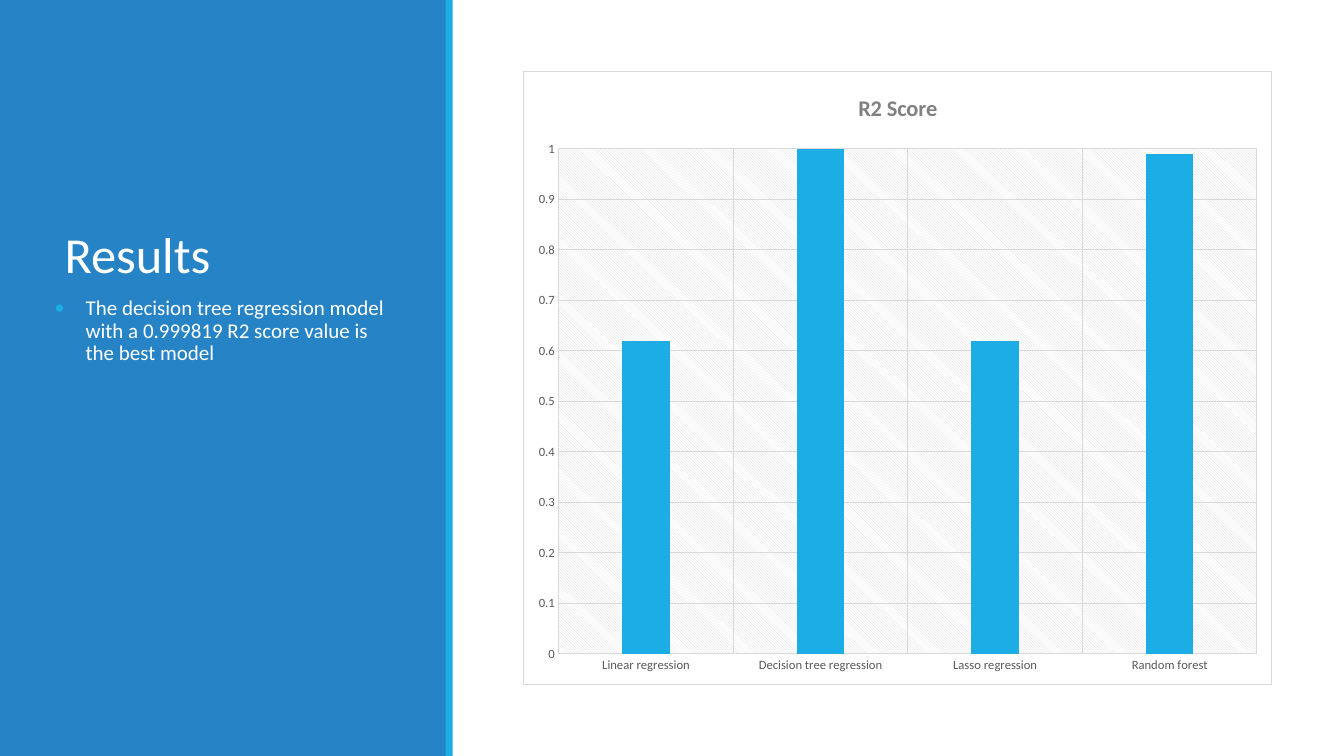
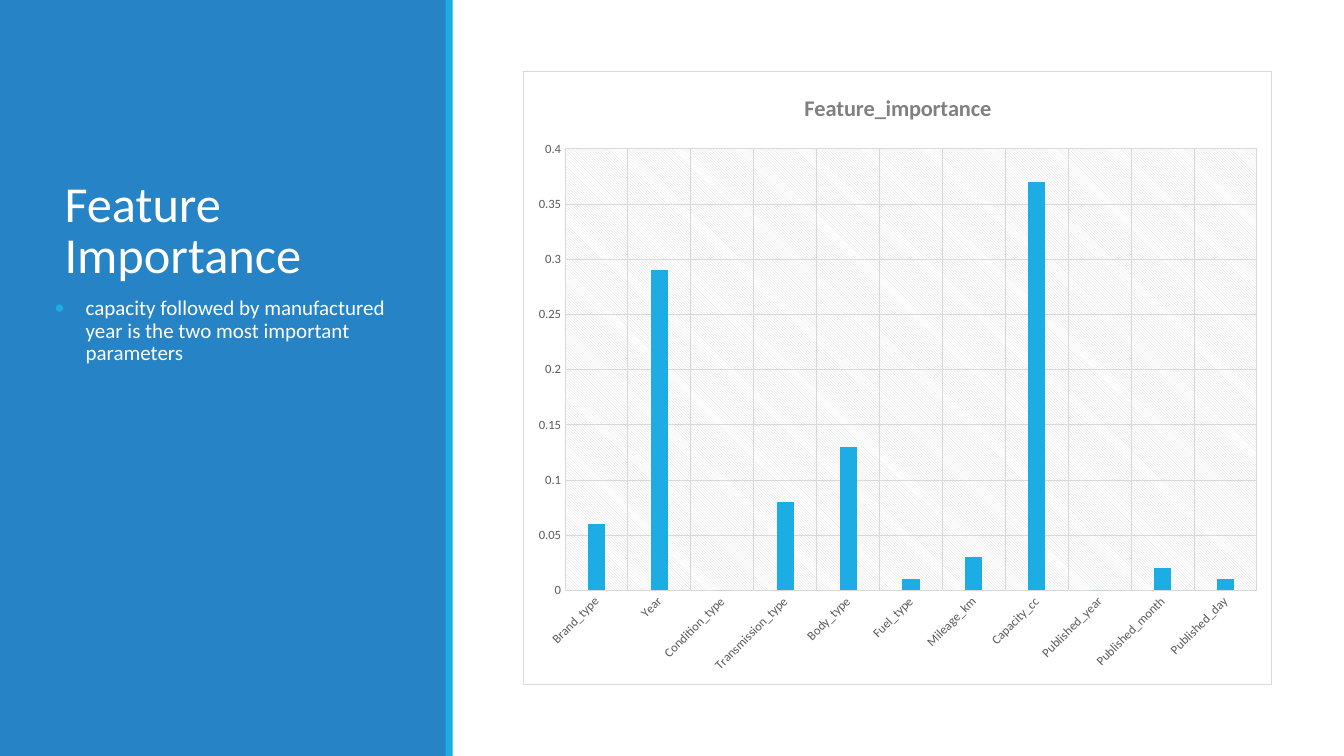
import pptx
import pptx.chart.data
import pptx.dml.color
import pptx.enum.chart
import pptx.enum.shapes
import pptx.enum.text
import pptx.oxml
import pptx.oxml.ns
import pptx.util

Inches = pptx.util.Inches
Pt = pptx.util.Pt
qn = pptx.oxml.ns.qn

FONT = "Calibri"
COLORS = {
    "panel": "2683C6",
    "accent": "1CADE4",
    "white": "FFFFFF",
    "grid": "D9D9D9",
    "label": "595959",
    "chart_title": "808080",
}

SLIDES = [
    {
        "title": "Results",
        "bullet": "The decision tree regression model with a 0.999819 R2 score value is the best model",
        "chart_title": "R2 Score",
        "series": "R2 Score",
        "maximum": 1,
        "values": {
            "Linear regression": 0.62,
            "Decision tree regression": 1,
            "Lasso regression": 0.62,
            "Random forest": 0.99,
        },
    },
    {
        "title": "Feature Importance",
        "bullet": "capacity followed by manufactured year is the two most important parameters",
        "chart_title": "Feature_importance",
        "series": "Series 1",
        "maximum": None,
        "values": {
            "Brand_type": 0.06,
            "Year": 0.29,
            "Condition_type": 0,
            "Transmission_type": 0.08,
            "Body_type": 0.13,
            "Fuel_type": 0.01,
            "Mileage_km": 0.03,
            "Capacity_cc": 0.37,
            "Published_year": 0,
            "Published_month": 0.02,
            "Published_day": 0.01,
        },
    },
]

SLIDE_SIZE = (13.33, 7.5)
PANEL_BOX = (0, 0, 4.43, 7.5)
STRIPE_BOX = (4.42, 0, 0.07, 7.5)
TITLE_BOX = (0.54, 0.57, 3.37, 2.3)
BULLET_BOX = (0.54, 2.9, 3.37, 3.65)
CHART_BOX = (5.19, 0.7, 7.43, 6.1)


def inches(box):
    return [Inches(length) for length in box]


def rgb(name):
    return pptx.dml.color.RGBColor.from_string(COLORS[name])


def style_font(font, size, color, bold=False):
    font.name = FONT
    font.size = Pt(size)
    font.bold = bold
    font.color.rgb = rgb(color)


def style_line(line):
    line.color.rgb = rgb("grid")
    line.width = Pt(0.75)


def add_band(slide, box, color):
    band = slide.shapes.add_shape(pptx.enum.shapes.MSO_SHAPE.RECTANGLE, *inches(box))
    band.shadow.inherit = False
    band.fill.solid()
    band.fill.fore_color.rgb = rgb(color)
    band.line.fill.background()
    return band


def set_title(slide, text):
    title = slide.shapes.title
    title.left, title.top, title.width, title.height = inches(TITLE_BOX)
    frame = title.text_frame
    frame.text = text
    frame.word_wrap = True
    frame.auto_size = pptx.enum.text.MSO_AUTO_SIZE.NONE
    frame.vertical_anchor = pptx.enum.text.MSO_ANCHOR.BOTTOM
    paragraph = frame.paragraphs[0]
    paragraph.alignment = pptx.enum.text.PP_ALIGN.LEFT
    paragraph.line_spacing = 0.85
    run = paragraph.runs[0]
    style_font(run.font, 36, "white")
    run.font.element.set("spc", "-50") if hasattr(run.font, "element") else None
    return title


def add_bullet(slide, text):
    frame = slide.shapes.add_textbox(*inches(BULLET_BOX)).text_frame
    frame.word_wrap = True
    frame.margin_left = frame.margin_right = 0
    frame.text = text
    paragraph = frame.paragraphs[0]
    paragraph.line_spacing = 0.9
    paragraph.space_after = Pt(6)
    style_font(paragraph.runs[0].font, 15, "white")
    properties = paragraph.runs[0].font and paragraph._p.get_or_add_pPr()
    properties.set("marL", str(Inches(0.31)))
    properties.set("indent", str(-Inches(0.31)))
    namespace = pptx.oxml.ns.nsdecls("a")
    for xml in (
        f'<a:buClr {namespace}><a:srgbClr val="{COLORS["accent"]}"/></a:buClr>',
        f'<a:buFont {namespace} typeface="{FONT}"/>',
        f'<a:buChar {namespace} char="•"/>',
    ):
        properties.append(pptx.oxml.parse_xml(xml))


def chart_area_format(fill, line):
    """Return a c:spPr element for the chart or plot area."""
    return pptx.oxml.parse_xml(
        f'<c:spPr {pptx.oxml.ns.nsdecls("c", "a")}>{fill}{line}</c:spPr>'
    )


def style_chart_areas(chart):
    white = f'<a:srgbClr val="{COLORS["white"]}"/>'
    grey = f'<a:srgbClr val="{COLORS["grid"]}"/>'
    border = f'<a:ln w="{Pt(0.75)}"><a:solidFill>{grey}</a:solidFill></a:ln>'
    hatch = (
        f'<a:pattFill prst="ltDnDiag"><a:fgClr>{grey}</a:fgClr>'
        f"<a:bgClr>{white}</a:bgClr></a:pattFill>"
    )
    chart_element = chart.element.find(qn("c:chart"))
    chart_element.addnext(
        chart_area_format(f"<a:solidFill>{white}</a:solidFill>", border)
    )
    chart_element.find(qn("c:plotArea")).append(
        chart_area_format(hatch, "<a:ln><a:noFill/></a:ln>")
    )


def add_column_chart(slide, content):
    data = pptx.chart.data.CategoryChartData()
    data.categories = list(content["values"])
    data.add_series(content["series"], list(content["values"].values()))
    chart = slide.shapes.add_chart(
        pptx.enum.chart.XL_CHART_TYPE.COLUMN_CLUSTERED, *inches(CHART_BOX), data
    ).chart
    chart.font.name = FONT
    chart.font.size = Pt(10)
    chart.has_legend = False

    chart.has_title = True
    chart.chart_title.include_in_layout = False
    title_frame = chart.chart_title.text_frame
    title_frame.text = content["chart_title"]
    style_font(title_frame.paragraphs[0].runs[0].font, 16, "chart_title", True)

    for axis in (chart.category_axis, chart.value_axis):
        axis.has_major_gridlines = True
        axis.major_tick_mark = pptx.enum.chart.XL_TICK_MARK.NONE
        axis.minor_tick_mark = pptx.enum.chart.XL_TICK_MARK.NONE
        style_font(axis.tick_labels.font, 9, "label")
        style_line(axis.major_gridlines.format.line)
    style_line(chart.category_axis.format.line)
    chart.value_axis.format.line.fill.background()
    chart.value_axis.minimum_scale = 0
    if content["maximum"] is not None:
        chart.value_axis.maximum_scale = content["maximum"]

    plot = chart.plots[0]
    plot.vary_by_categories = False
    plot.gap_width = 267
    plot.overlap = -43
    fill = plot.series[0].format.fill
    fill.solid()
    fill.fore_color.rgb = rgb("accent")
    style_chart_areas(chart)


def add_chart_slide(presentation, content):
    slide = presentation.slides.add_slide(presentation.slide_layouts[5])
    title = set_title(slide, content["title"])
    panel = add_band(slide, PANEL_BOX, "panel")
    title.element.addprevious(panel.element)
    add_bullet(slide, content["bullet"])
    add_band(slide, STRIPE_BOX, "accent")
    add_column_chart(slide, content)


def main():
    presentation = pptx.Presentation()
    presentation.slide_width, presentation.slide_height = inches(SLIDE_SIZE)
    for content in SLIDES:
        add_chart_slide(presentation, content)
    presentation.save("out.pptx")


if __name__ == "__main__":
    main()
